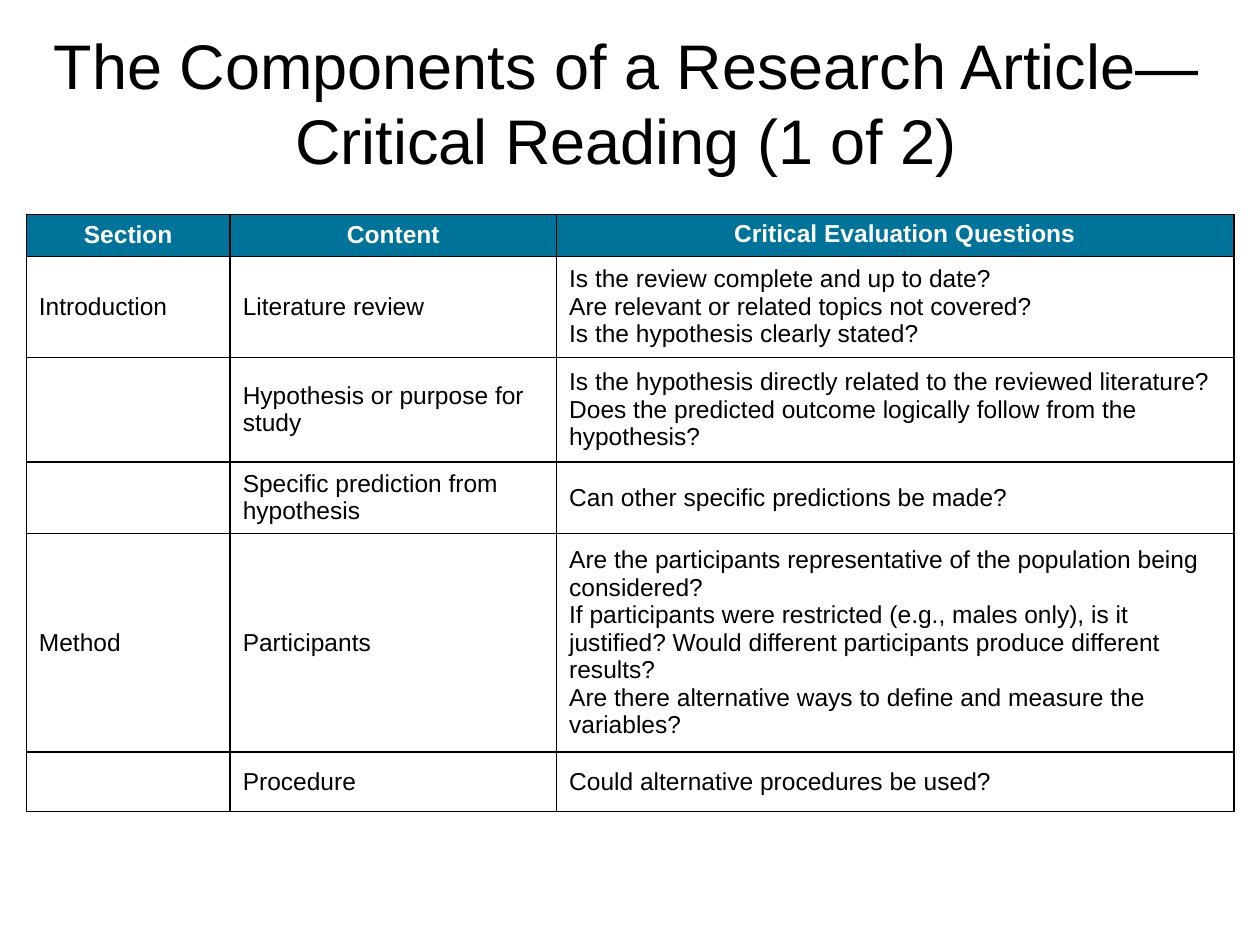
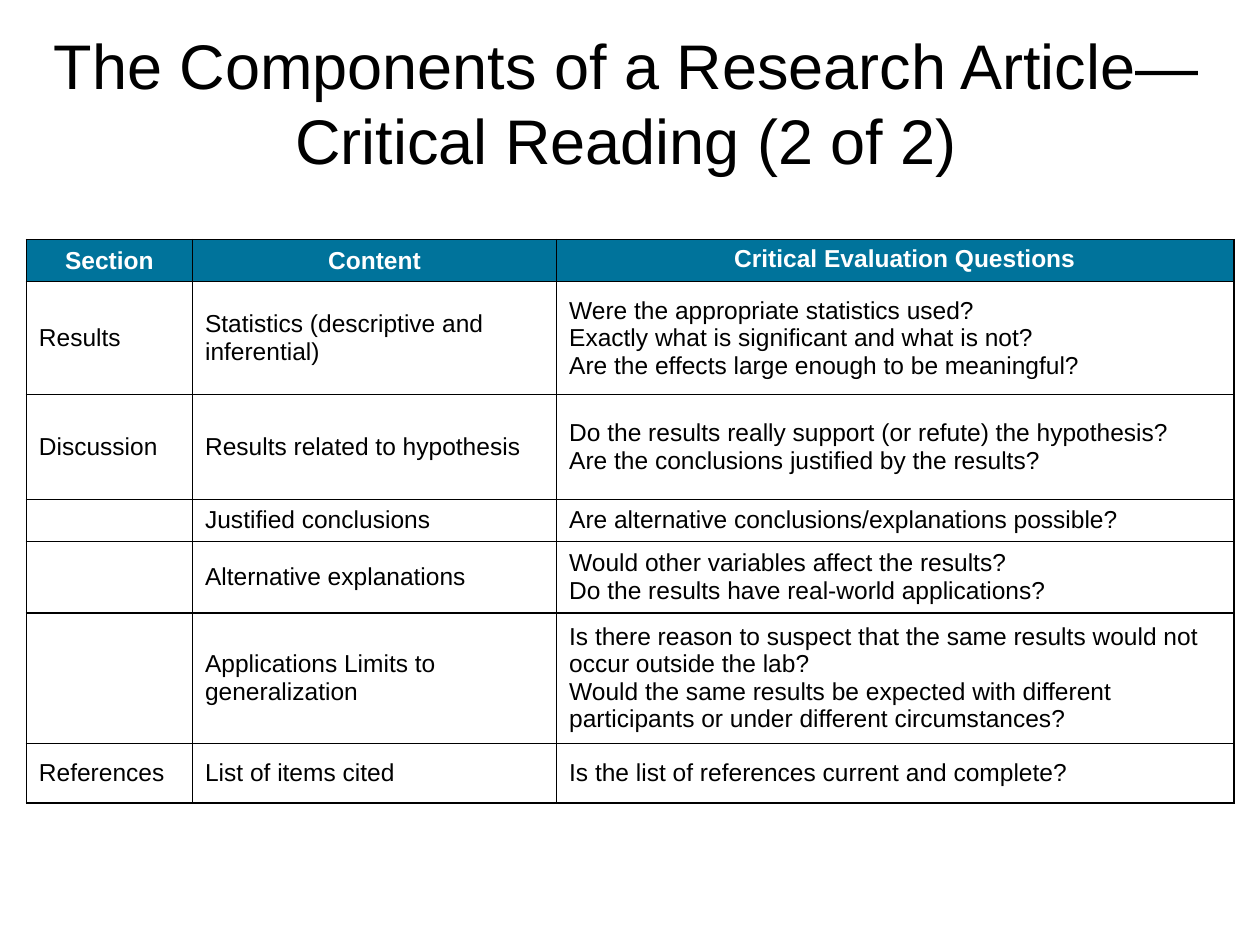
from lxml.etree import SubElement as Sub
from pptx import Presentation
from pptx.dml.color import RGBColor as RGB
from pptx.enum.text import MSO_ANCHOR as Anchor, PP_ALIGN as Align
from pptx.oxml.ns import qn
from pptx.util import Cm, Pt

COLORS = {"ink": "000000", "head": "00739B", "light": "FFFFFF"}
FONT = "Arial"
TITLE = "The Components of a Research Article—Critical Reading ({} of 2)"
HEADS = ["Section", "Content", "Critical Evaluation Questions"]
TITLE_BOX = (0.23, 0.2, 24.79, 3.71)
LEFT = 0.53
HEAD_HIGH = 0.81

# Each row: height in cm, section, content, questions
INTRO = [
    (1.98, "Introduction", "Literature review",
     ["Is the review complete and up to date?",
      "Are relevant or related topics not covered?",
      "Is the hypothesis clearly stated?"]),
    (2.11, "", "Hypothesis or purpose for study",
     ["Is the hypothesis directly related to the reviewed literature?",
      "Does the predicted outcome logically follow from the hypothesis?"]),
    (1.36, "", "Specific prediction from hypothesis",
     ["Can other specific predictions be made?"]),
    (4.14, "Method", "Participants",
     ["Are the participants representative of the population being considered?",
      "If participants were restricted (e.g., males only), is it justified? "
      "Would different participants produce different results?",
      "Are there alternative ways to define and measure the variables?"]),
    (1.2, "", "Procedure", ["Could alternative procedures be used?"]),
]
RESULTS = [
    (2.28, "Results", "Statistics (descriptive and inferential)",
     ["Were the appropriate statistics used?",
      "Exactly what is significant and what is not?",
      "Are the effects large enough to be meaningful?"]),
    (2.11, "Discussion", "Results related to hypothesis",
     ["Do the results really support (or refute) the hypothesis?",
      "Are the conclusions justified by the results?"]),
    (0.81, "", "Justified conclusions",
     ["Are alternative conclusions/explanations possible?"]),
    (1.36, "", "Alternative explanations",
     ["Would other variables affect the results?",
      "Do the results have real-world applications?"]),
    (2.47, "", "Applications Limits to generalization",
     ["Is there reason to suspect that the same results would not occur "
      "outside the lab?",
      "Would the same results be expected with different participants or "
      "under different circumstances?"]),
    (1.2, "References", "List of items cited",
     ["Is the list of references current and complete?"]),
]
# Each slide: table top, column widths, rows
PAGES = [
    (4.32, (4.11, 6.58, 13.66), INTRO),
    (4.83, (3.35, 7.34, 13.66), RESULTS),
]


def style(frame, size, color, bold=False, align=Align.LEFT):
    for para in frame.paragraphs:
        para.alignment = align
        for run in para.runs:
            font = run.font
            font.name, font.size, font.bold = FONT, Pt(size), bold
            font.color.rgb = RGB.from_string(COLORS[color])
        if not para.runs:  # keeps empty cells as low as filled ones
            Sub(para._p, qn("a:endParaRPr"), sz=str(size * 100))


def border(cell):
    props = cell._tc.get_or_add_tcPr()
    for spot, side in enumerate(("lnL", "lnR", "lnT", "lnB")):
        line = Sub(props, qn("a:" + side), w=str(Pt(1)))
        fill = Sub(line, qn("a:solidFill"))
        Sub(fill, qn("a:srgbClr"), val=COLORS["ink"])
        props.remove(line)
        props.insert(spot, line)  # borders come before the fill


def add_title(slide, box, text):
    frame = slide.shapes.add_textbox(*map(Cm, box)).text_frame
    frame.word_wrap = True
    frame.vertical_anchor = Anchor.MIDDLE
    frame.text = text
    style(frame, 36, "ink", align=Align.CENTER)


def fill_cell(cell, text, head):
    cell.text_frame.text = text
    cell.vertical_anchor = Anchor.MIDDLE
    if head:
        cell.fill.solid()
        cell.fill.fore_color.rgb = RGB.from_string(COLORS["head"])
        style(cell.text_frame, 14, "light", True, Align.CENTER)
    else:
        cell.fill.background()
        style(cell.text_frame, 14, "ink")
    border(cell)


def inset_head(cell):
    cell.margin_left = cell.margin_right = 0
    cell.margin_top = cell.margin_bottom = 0
    para = cell.text_frame.paragraphs[0]
    para._p.get_or_add_pPr().set("marL", str(Cm(0.38)))
    para.line_spacing = 0.82
    para.space_after = Pt(5.4)


def add_grid(slide, left, top, widths, rows):
    highs = [HEAD_HIGH] + [row[0] for row in rows]
    texts = [HEADS] + [(part, topic, "\n".join(asks))
                       for _, part, topic, asks in rows]
    box = (left, top, sum(widths), sum(highs))
    table = slide.shapes.add_table(
        len(texts), len(widths), *map(Cm, box)).table
    table.horz_banding = False
    for col, wide in zip(table.columns, widths):
        col.width = Cm(wide)
    for num, (row, high) in enumerate(zip(table.rows, highs)):
        row.height = Cm(high)
        for cell, text in zip(row.cells, texts[num]):
            fill_cell(cell, text, num == 0)
    inset_head(table.cell(0, 2))


def main():
    deck = Presentation()
    deck.slide_width, deck.slide_height = Cm(25.4), Cm(19.05)
    for num, (top, widths, rows) in enumerate(PAGES, 1):
        slide = deck.slides.add_slide(deck.slide_layouts[6])
        add_title(slide, TITLE_BOX, TITLE.format(num))
        add_grid(slide, LEFT, top, widths, rows)
    deck.save("out.pptx")


if __name__ == "__main__":
    main()
